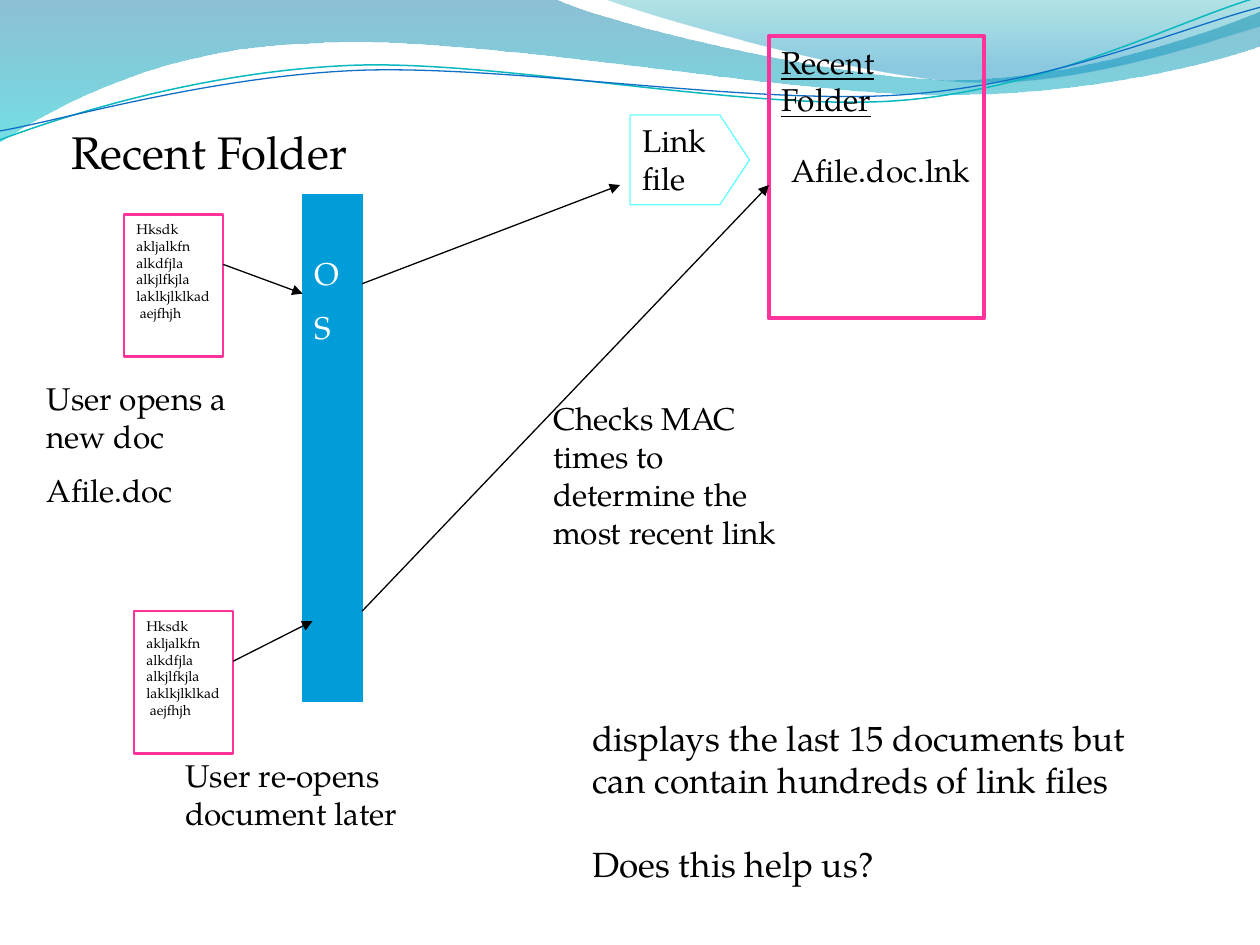
from lxml.etree import SubElement
from pptx import Presentation
from pptx.dml.color import RGBColor
from pptx.enum.shapes import MSO_CONNECTOR, MSO_SHAPE
from pptx.enum.text import MSO_ANCHOR, PP_ALIGN
from pptx.oxml.ns import qn
from pptx.util import Cm, Pt

FONT = "TeX Gyre Pagella"
BLACK, WHITE, PINK, BLUE, AQUA = "000000", "FFFFFF", "FF3399", "009DD9", "66FFFF"

# Each path is a start point, then line ends (one point) or curves (three points); cm.
BANDS = [
    ([[(0, 0)], [(11.18, -0.03)],
      [(12.09, 0.43), (16.87, 1.6), (19.25, 1.6)],
      [(21.67, 1.6), (24.33, 0.66), (25.4, 0.23)],
      [(25.43, 0.91)],
      [(24.97, 1.12), (22.1, 1.93), (18.95, 1.91)],
      [(15.8, 1.91), (9.7, 0.71), (6.53, 0.86)],
      [(3.28, 0.91), (1.17, 2.11), (-0.03, 2.87)]],
     [(0, "0074A1", 45), (1, "00C6CF", 55)]),
    ([[(12.17, -0.03)],
      [(12.93, 0.28), (17.32, 1.57), (19.53, 1.65)],
      [(21.74, 1.75), (24.41, 0.81), (25.4, 0.53)],
      [(25.4, 0)]],
     [(0, "00A1A9", 30), (0.8, "008BBF", 45)]),
]
RIPPLES = [
    ([[(0, 2.82)],
      [(1.22, 2.36), (4.01, 1.45), (7.04, 1.32)],
      [(10.03, 1.19), (15.06, 2.26), (18.11, 2.03)],
      [(21.16, 1.8), (23.83, 0.38), (25.35, -0.05)]], "0AB8BF", 0.85),
    ([[(0, 2.64)],
      [(1.19, 2.44), (4.17, 1.55), (7.19, 1.42)],
      [(10.24, 1.3), (15.16, 2.13), (18.21, 1.91)],
      [(21.23, 1.7), (23.9, 0.53), (25.4, 0.15)]], "0F6FC6", 0.75),
]

DOC_TEXT = ["Hksdk akljalkfn  alkdfjla alkjlfkjla laklkjlklkad  aejfhjh"]
RECT, PLATE = MSO_SHAPE.RECTANGLE, MSO_SHAPE.PENTAGON
# Preset, box in cm, line colour and width, paragraphs, text options
SHAPES = [
    (RECT, (2.5, 4.32, 2, 2.87), PINK, 1.5, DOC_TEXT, {"size": 8}),
    (RECT, (2.7, 12.32, 2, 2.87), PINK, 1.5, DOC_TEXT, {"size": 8}),
    (RECT, (6.1, 3.92, 1.21, 10.22), BLUE, 0.75, ["O", "S"],
     {"color": WHITE, "gap": 9, "top": 1.2}),
    (RECT, (15.5, 0.73, 4.34, 5.69), PINK, 2.25, ["Recent Folder"], {"underline": True}),
    (PLATE, (12.7, 2.32, 2.41, 1.81), AQUA, 0.75, ["Link file"], {}),
]
LABELS = [
    ((1.19, 2.37, 22.86, 15.7), ["Recent Folder"], {"size": 26}),
    ((0.69, 7.52, 4.39, 2.92), ["User opens a new doc", "Afile.doc"], {"gap": 9}),
    ((15.7, 2.92, 4.34, 1.02), ["Afile.doc.lnk"], {}),
    ((3.49, 15.11, 5, 1.78), ["User re-opens document later"], {}),
    ((10.9, 7.92, 5.38, 3.3), ["Checks MAC times to determine the most recent link"], {}),
    ((11.69, 14.31, 12.04, 3.68),
     ["displays the last 15 documents but can contain hundreds of link files",
      "Does this help us?"], {"size": 20, "gap": 24}),
]
ARROWS = [
    (4.5, 5.33, 6.1, 5.92),
    (7.3, 5.72, 12.5, 3.73),
    (4.7, 13.33, 6.3, 12.52),
    (7.3, 12.32, 15.5, 3.73),
]


def rgb(value):
    return RGBColor.from_string(value)


def set_line(line, color, width):
    line.color.rgb = rgb(color)
    line.width = Pt(width)


def add_outline(shapes, path, close):
    """Build the outline through the end points, then bend its curved segments."""
    start, *ends = [(Cm(x), Cm(y)) for x, y in (segment[-1] for segment in path)]
    builder = shapes.build_freeform(*start)
    builder.add_line_segments(ends, close=close)
    outline = builder.convert_to_shape()
    outline.shadow.inherit = False
    segments = list(outline._element.iter(qn("a:lnTo")))
    for node, points in zip(segments, path[1:]):
        if len(points) == 3:
            node.tag = qn("a:cubicBezTo")
            node.clear()
            for x, y in points:
                SubElement(node, qn("a:pt"), x=str(Cm(x) - outline.left),
                           y=str(Cm(y) - outline.top))
    return outline


def add_band(shapes, path, stops):
    band = add_outline(shapes, path, True)
    band.line.fill.background()
    band.fill.gradient()
    band.fill.gradient_angle = 270
    for stop, (position, color, _) in zip(band.fill.gradient_stops, stops):
        stop.position = position
        stop.color.rgb = rgb(color)
    colors = list(band.fill._xPr.iter(qn("a:srgbClr")))
    for node, (_, _, opacity) in zip(colors, stops):
        SubElement(node, qn("a:alpha"), val=str(opacity * 1000))


def write(frame, paragraphs, size=18, color=BLACK, gap=0, top=0.13, underline=None):
    frame.word_wrap = True
    frame.vertical_anchor = MSO_ANCHOR.TOP
    frame.margin_top = Cm(top)
    for index, text in enumerate(paragraphs):
        paragraph = frame.add_paragraph() if index else frame.paragraphs[0]
        paragraph.alignment = PP_ALIGN.LEFT
        if index:
            paragraph.space_before = Pt(gap)
        run = paragraph.add_run()
        run.text = text
        run.font.name, run.font.size = FONT, Pt(size)
        run.font.color.rgb = rgb(color)
        run.font.underline = underline


def add_arrow(shapes, ends):
    arrow = shapes.add_connector(MSO_CONNECTOR.STRAIGHT, *map(Cm, ends))
    set_line(arrow.line, BLACK, 0.75)
    SubElement(arrow.line._get_or_add_ln(), qn("a:tailEnd"), type="triangle")
    SubElement(arrow._element.spPr, qn("a:effectLst"))


def main():
    deck = Presentation()
    deck.slide_width, deck.slide_height = Cm(25.4), Cm(19.05)
    shapes = deck.slides.add_slide(deck.slide_layouts[6]).shapes

    for path, stops in BANDS:
        add_band(shapes, path, stops)
    for path, color, width in RIPPLES:
        ripple = add_outline(shapes, path, False)
        ripple.fill.background()
        set_line(ripple.line, color, width)

    for preset, box, color, width, paragraphs, options in SHAPES:
        shape = shapes.add_shape(preset, *map(Cm, box))
        shape.shadow.inherit = False
        if color == BLUE:
            shape.fill.solid()
            shape.fill.fore_color.rgb = rgb(color)
        else:
            shape.fill.background()
        if preset == PLATE:
            shape.adjustments[0] = 0.33
        set_line(shape.line, color, width)
        write(shape.text_frame, paragraphs, **options)

    for box, paragraphs, options in LABELS:
        write(shapes.add_textbox(*map(Cm, box)).text_frame, paragraphs, **options)
    for ends in ARROWS:
        add_arrow(shapes, ends)

    deck.save("out.pptx")


if __name__ == "__main__":
    main()
